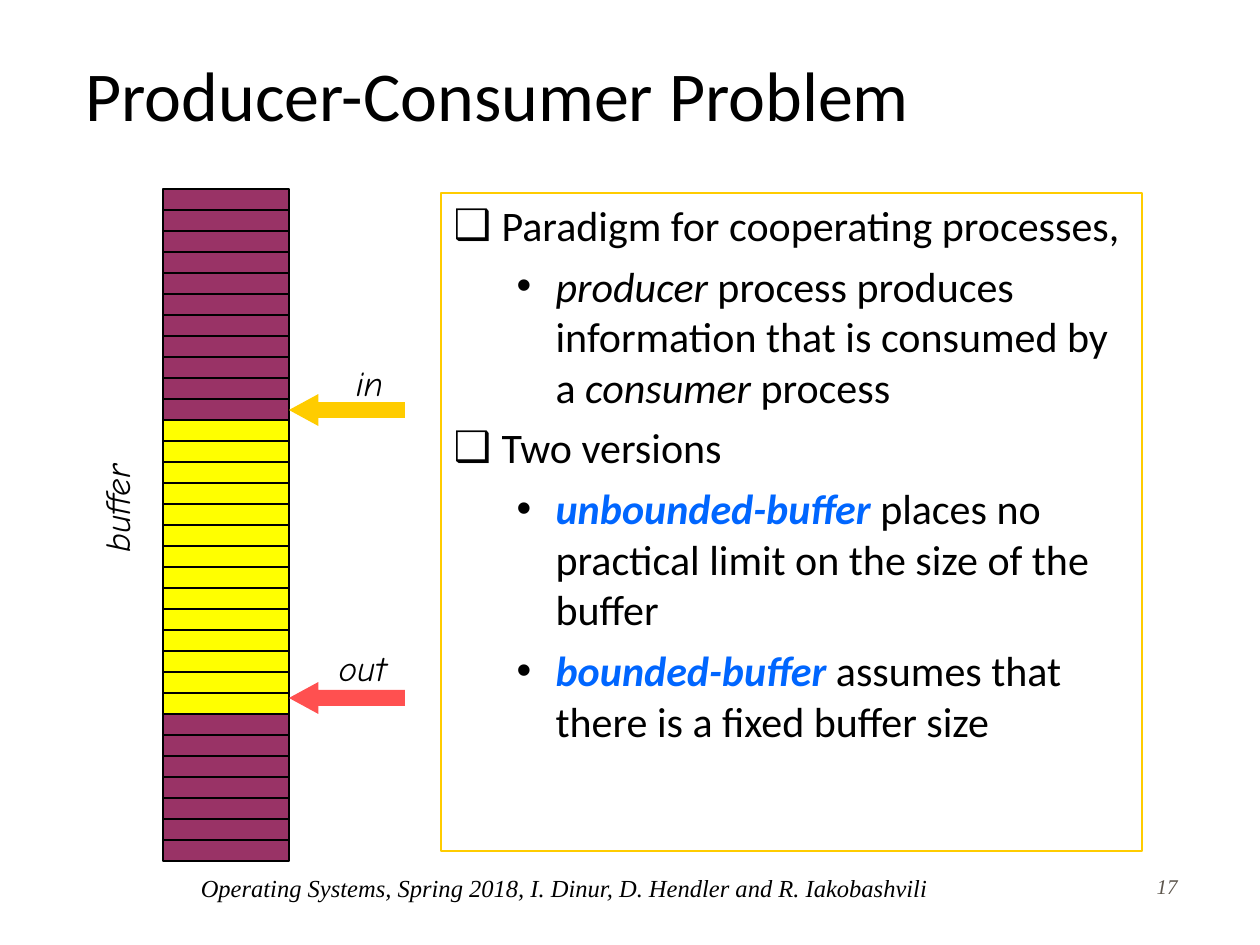
from lxml import etree
from pptx import Presentation
from pptx.dml.color import RGBColor
from pptx.enum.shapes import MSO_SHAPE
from pptx.enum.text import MSO_ANCHOR, MSO_AUTO_SIZE, PP_ALIGN
from pptx.oxml.ns import qn
from pptx.util import Emu, Pt

RECTANGLE, LEFT_ARROW = MSO_SHAPE.RECTANGLE, MSO_SHAPE.LEFT_ARROW
MIDDLE, NO_FIT = MSO_ANCHOR.MIDDLE, MSO_AUTO_SIZE.NONE
LEFT, CENTER, RIGHT = PP_ALIGN.LEFT, PP_ALIGN.CENTER, PP_ALIGN.RIGHT

EMU_PER_PX = 914400 / 126
COLORS = {
    "text": "000000", "number": "5E574E", "term": "0066FF", "frame": "FFCC00",
    "free": "993366", "used": "FFFF00", "in": "FFCC00", "out": "FF5050",
}
PLAIN = {"bold": False, "italic": False}
EMPHASIS = {"bold": False, "italic": True}
TERM = {"bold": True, "italic": True}
TITLE_FONT = {"name": "Calibri", "size": Pt(40)}
BODY_FONT = {"name": "Calibri", "size": Pt(24)}
LABEL_FONT = {"name": "Comic Neue", "size": Pt(20), "italic": True}
NUMBER_FONT = {"name": "Times New Roman", "size": Pt(12), "italic": True}
FOOTER_FONT = {"name": "Times New Roman", "size": Pt(14), "italic": True}

# Bullet character, left margin and hanging indent (px) of each list level
LEVELS = [("❑", 48, -48), ("•", 102, -39)]
BODY_ITEMS = [
    (0, [("Paradigm for cooperating processes,", PLAIN)]),
    (1, [("producer", EMPHASIS),
         (" process produces information that is consumed by a ", PLAIN),
         ("consumer", EMPHASIS), (" process", PLAIN)]),
    (0, [("Two versions", PLAIN)]),
    (1, [("unbounded-buffer ", TERM),
         ("places no practical limit on the size of the buffer", PLAIN)]),
    (1, [("bounded-buffer ", TERM),
         ("assumes that there is a fixed buffer size", PLAIN)]),
]
BUFFER_LEFT, BUFFER_TOP, CELL_WIDTH, CELL_HEIGHT = 163, 189, 126, 21
BUFFER_CELLS = ["free"] * 11 + ["used"] * 14 + ["free"] * 7


def px(length):
    return Emu(round(length * EMU_PER_PX))


def color(name):
    return RGBColor.from_string(COLORS[name])


def set_attributes(target, values):
    for name, value in values.items():
        setattr(target, name, value)


def place(shape, box):
    names = ("left", "top", "width", "height")
    set_attributes(shape, dict(zip(names, map(px, box))))


def format_font(font, values, color_name="text"):
    set_attributes(font, values)
    font.color.rgb = color(color_name)


def add_shape(shapes, kind, box, fill):
    shape = shapes.add_shape(kind, *map(px, box))
    shape.shadow.inherit = False
    shape.fill.solid()
    shape.fill.fore_color.rgb = color(fill)
    shape.line.fill.background()
    return shape


def add_label(shapes, text, box, font, alignment=CENTER, color_name="text"):
    label = shapes.add_textbox(*map(px, box))
    label.text_frame.word_wrap = True
    paragraph = label.text_frame.paragraphs[0]
    paragraph.alignment = alignment
    run = paragraph.add_run()
    run.text = text
    format_font(run.font, font, color_name)
    return label


def set_bullet(paragraph, level):
    character, margin, indent = LEVELS[level]
    properties = paragraph._p.get_or_add_pPr()
    properties.set("marL", str(px(margin)))
    properties.set("indent", str(px(indent)))
    bullet_color = etree.SubElement(properties, qn("a:buClr"))
    etree.SubElement(bullet_color, qn("a:srgbClr"), val=COLORS["text"])
    etree.SubElement(properties, qn("a:buChar"), char=character)


def fill_title(title):
    place(title, (73, 35, 1071, 117))
    set_attributes(title.text_frame, {"vertical_anchor": MIDDLE, "auto_size": NO_FIT})
    title.text_frame.text = "Producer-Consumer Problem"
    paragraph = title.text_frame.paragraphs[0]
    paragraph.alignment = LEFT
    format_font(paragraph.runs[0].font, TITLE_FONT)


def fill_body(body):
    place(body, (441, 193, 701, 658))
    body.line.color.rgb = color("frame")
    body.line.width = Pt(0.75)
    frame = body.text_frame
    frame.auto_size = NO_FIT
    for index, (level, runs) in enumerate(BODY_ITEMS):
        paragraph = frame.add_paragraph() if index else frame.paragraphs[0]
        set_bullet(paragraph, level)
        set_attributes(paragraph, {
            "level": level, "alignment": LEFT, "space_before": Pt(6 if index else 0)})
        for text, style in runs:
            run = paragraph.add_run()
            run.text = text
            format_font(run.font, BODY_FONT | style, "term" if style is TERM else "text")


def add_buffer(shapes):
    for index, state in enumerate(BUFFER_CELLS):
        top = BUFFER_TOP + index * CELL_HEIGHT
        cell = add_shape(shapes, RECTANGLE,
                         (BUFFER_LEFT, top, CELL_WIDTH, CELL_HEIGHT), state)
        cell.line.color.rgb = color("text")
        cell.line.width = Pt(1.5)
    label = add_label(shapes, "buffer", (59, 481, 115, 55), LABEL_FONT)
    label.rotation = 270
    label.text_frame.word_wrap = False


def add_pointer(shapes, name, arrow_top, label_box):
    """Group an arrow to the buffer's right edge with its label."""
    group = shapes.add_group_shape()
    arrow_box = (BUFFER_LEFT + CELL_WIDTH, arrow_top, 116, 32)
    arrow = add_shape(group.shapes, LEFT_ARROW, arrow_box, name)
    arrow.adjustments[1] = 0.92
    add_label(group.shapes, name, label_box, LABEL_FONT)


def main():
    presentation = Presentation()
    presentation.slide_width, presentation.slide_height = px(1260), px(945)
    slide = presentation.slides.add_slide(presentation.slide_layouts[1])
    shapes = slide.shapes
    fill_title(shapes.title)
    fill_body(slide.placeholders[1])
    add_buffer(shapes)
    add_pointer(shapes, "in", 394, (335, 355, 69, 55))
    add_pointer(shapes, "out", 682, (310, 640, 105, 55))
    add_label(shapes, "17", (1106, 867, 84, 49), NUMBER_FONT, RIGHT, "number")
    add_label(shapes, "Operating Systems, Spring 2018, I. Dinur, D. Hendler and R. Iakobashvili",
              (123, 867, 883, 53), FOOTER_FONT)
    presentation.save("out.pptx")


if __name__ == "__main__":
    main()
